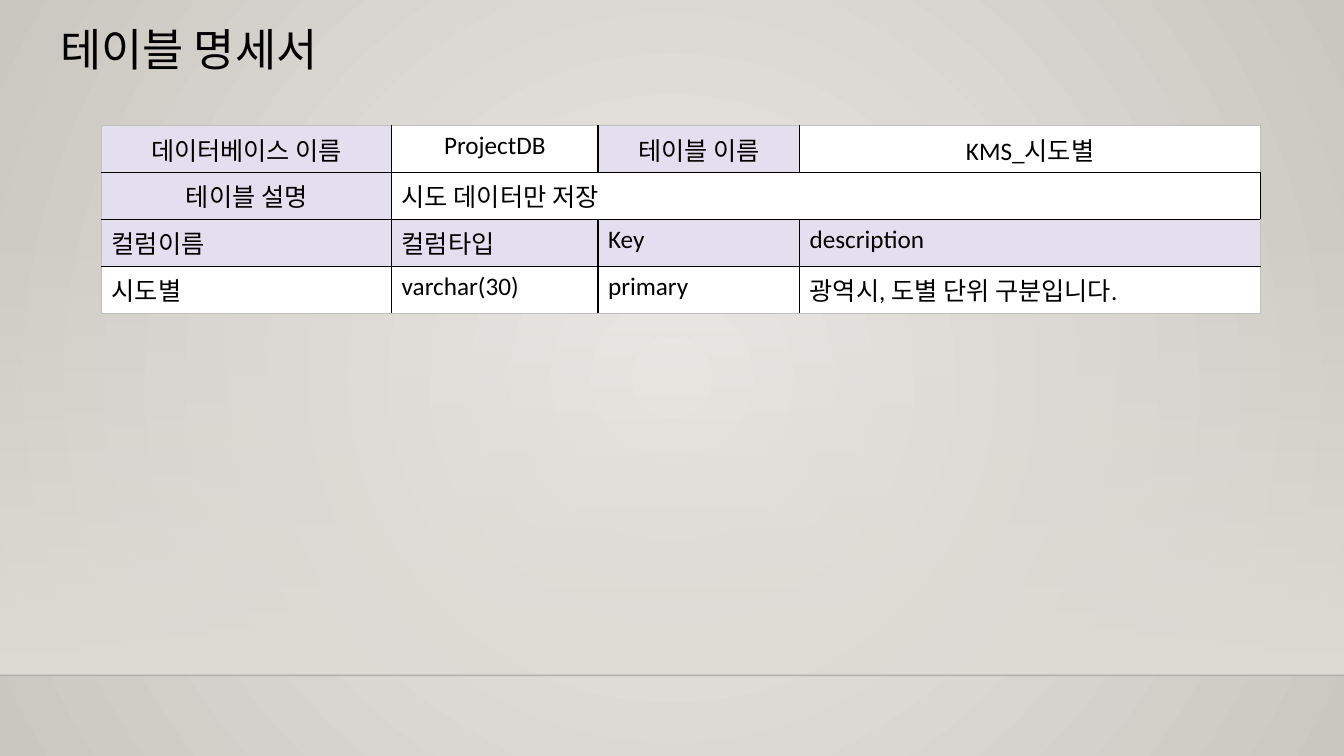
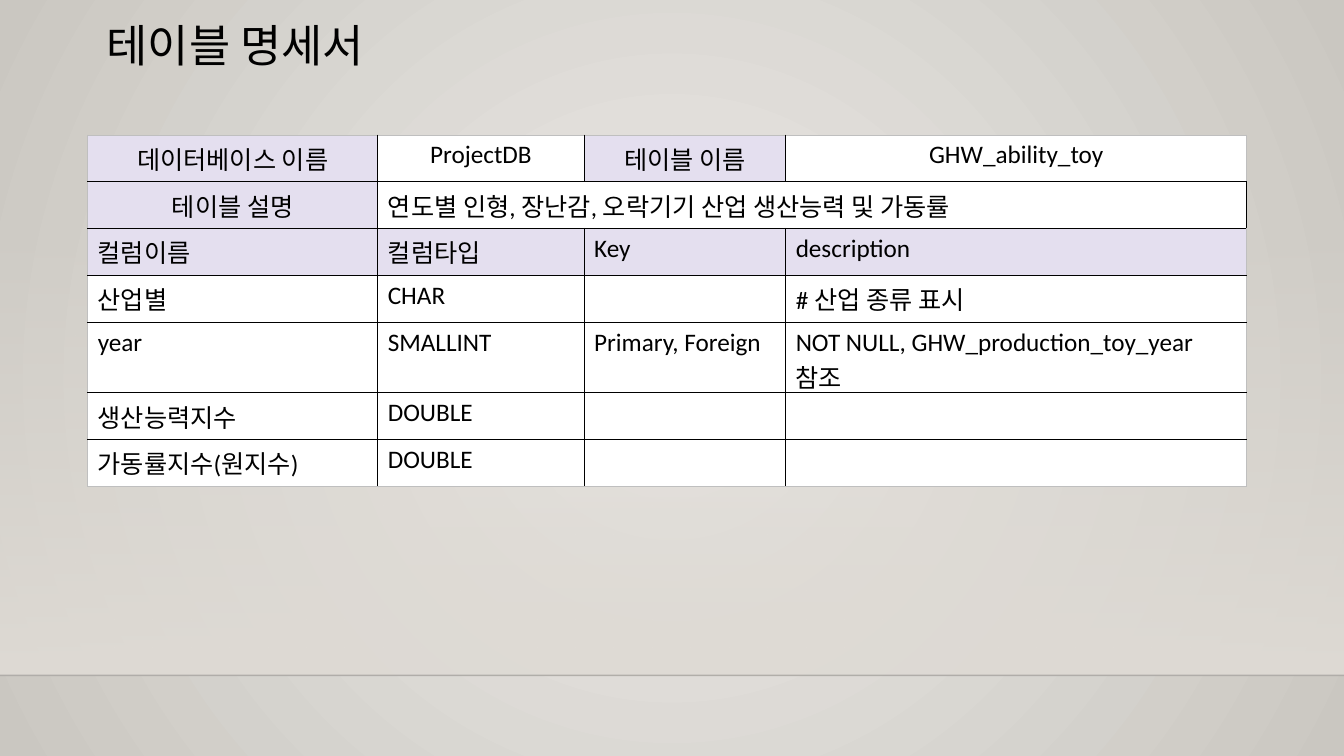
from lxml.etree import SubElement
from pptx import Presentation
from pptx.dml.color import RGBColor
from pptx.enum.shapes import MSO_CONNECTOR, MSO_SHAPE
from pptx.enum.text import PP_ALIGN
from pptx.oxml import parse_xml
from pptx.oxml.ns import nsdecls, qn
from pptx.util import Cm, Pt

COLORS = {
    "center": "ECEAE7",
    "edge": "CAC7C1",
    "floor": "DFDBD5",
    "horizon": "000001",
    "label": "E4DFEF",
    "value": "FFFFFF",
    "text": "000000",
    "rule": "000000",
    "frame": "BFBFBF",
}
WIDTH, HEIGHT = Cm(33.87), Cm(19.05)
FLOOR_TOP, HORIZON = Cm(5.61), Cm(17.02)
COLUMN_WIDTHS = [Cm(7.31), Cm(5.2), Cm(5.08), Cm(11.62)]
ROW_HEIGHT = Cm(1.18)
TITLE = "테이블 명세서"
TITLE_FONT = {"name": "Calibri", "size": Pt(32)}
CELL_FONT = {"name": "Calibri", "size": Pt(18), "bold": False}
COLUMN_HEADINGS = ["컬럼이름", "컬럼타입", "Key", "description"]

SPECIFICATIONS = [
    {
        "title_at": (Cm(1.27), Cm(0.58)),
        "table_at": (Cm(2.56), Cm(3.17)),
        "name": "KMS_시도별",
        "purpose": "시도 데이터만 저장",
        "columns": [
            ["시도별", "varchar(30)", "primary", "광역시, 도별 단위 구분입니다."],
        ],
    },
    {
        "title_at": (Cm(2.44), Cm(0.48)),
        "table_at": (Cm(2.21), Cm(3.4)),
        "name": "GHW_ability_toy",
        "purpose": "연도별 인형, 장난감, 오락기기 산업 생산능력 및 가동률",
        "columns": [
            ["산업별", "CHAR", "", "# 산업 종류 표시"],
            ["year", "SMALLINT", "Primary, Foreign",
             "NOT NULL, GHW_production_toy_year 참조"],
            ["생산능력지수", "DOUBLE", "", ""],
            ["가동률지수(원지수)", "DOUBLE", "", ""],
        ],
    },
]


def gradient(stops, direction):
    marks = "".join(
        f'<a:gs pos="{position * 1000}"><a:srgbClr val="{COLORS[color]}">'
        f'<a:alpha val="{opacity * 1000}"/></a:srgbClr></a:gs>'
        for position, color, opacity in stops
    )
    return parse_xml(
        f'<a:gradFill {nsdecls("a")} rotWithShape="1">'
        f"<a:gsLst>{marks}</a:gsLst>{direction}</a:gradFill>"
    )


def replace_gradient(holder, new_fill):
    old_fill = holder.find(qn("a:gradFill"))
    holder.replace(old_fill, new_fill)


def set_backdrop(master):
    master.background.fill.gradient()
    holder = next(master.element.iter(qn("p:bgPr")))
    direction = (
        '<a:path path="circle">'
        '<a:fillToRect l="50000" t="50000" r="50000" b="50000"/></a:path>'
    )
    replace_gradient(
        holder, gradient([(0, "center", 100), (100, "edge", 100)], direction)
    )


def add_floor(slide):
    floor = slide.shapes.add_shape(
        MSO_SHAPE.RECTANGLE, 0, FLOOR_TOP, WIDTH, HORIZON - FLOOR_TOP
    )
    floor.shadow.inherit = False
    floor.line.fill.background()
    floor.fill.gradient()
    replace_gradient(
        floor.element.spPr,
        gradient(
            [(0, "floor", 0), (100, "floor", 100)],
            '<a:lin ang="5400000" scaled="0"/>',
        ),
    )
    horizon = slide.shapes.add_connector(
        MSO_CONNECTOR.STRAIGHT, 0, HORIZON, WIDTH, HORIZON
    )
    horizon.line.width = Pt(1)
    horizon.line.color.rgb = RGBColor.from_string(COLORS["horizon"])
    properties = horizon.element.spPr
    color = next(properties.iter(qn("a:srgbClr")))
    SubElement(color, qn("a:alpha"), val="20000")
    SubElement(properties, qn("a:effectLst"))


def write(paragraph, text, font_values):
    run = paragraph.add_run()
    run.text = text
    for attribute, value in font_values.items():
        setattr(run.font, attribute, value)
    run.font.color.rgb = RGBColor.from_string(COLORS["text"])


def add_title(slide, position):
    title = slide.shapes.add_textbox(*position, Cm(26.67), Cm(1.83))
    title.text_frame.word_wrap = True
    paragraph = title.text_frame.paragraphs[0]
    paragraph.line_spacing = 0.9
    write(paragraph, TITLE, TITLE_FONT)


def set_borders(cell, outer_sides):
    properties = cell._tc.get_or_add_tcPr()
    for side in ("lnL", "lnR", "lnT", "lnB"):
        outer = side in outer_sides
        border = SubElement(
            properties, qn(f"a:{side}"), w=str(Pt(0.5) if outer else Pt(1))
        )
        fill = SubElement(border, qn("a:solidFill"))
        color = COLORS["frame" if outer else "rule"]
        SubElement(fill, qn("a:srgbClr"), val=color)


def add_specification(slide, content):
    rows = [
        ["데이터베이스 이름", "ProjectDB", "테이블 이름", content["name"]],
        ["테이블 설명", content["purpose"], "", ""],
        COLUMN_HEADINGS,
        *content["columns"],
    ]
    labels = {(0, 0), (0, 2), (1, 0)} | {(2, column) for column in range(4)}
    centered = {(0, column) for column in range(4)} | {(1, 0)}
    last_row, last_column = len(rows) - 1, len(COLUMN_WIDTHS) - 1
    table = slide.shapes.add_table(
        len(rows), len(COLUMN_WIDTHS), *content["table_at"],
        sum(COLUMN_WIDTHS), ROW_HEIGHT * len(rows),
    ).table
    for flag in ("first_row", "horz_banding"):
        setattr(table, flag, False)
    for column, width in zip(table.columns, COLUMN_WIDTHS):
        column.width = width
    for row, texts in enumerate(rows):
        table.rows[row].height = ROW_HEIGHT
        for column, text in enumerate(texts):
            cell = table.cell(row, column)
            edges = {
                "lnL": column == 0,
                "lnR": column == last_column,
                "lnT": row == 0,
                "lnB": row == last_row,
            }
            set_borders(cell, [side for side, outer in edges.items() if outer])
            role = "label" if (row, column) in labels else "value"
            cell.fill.solid()
            cell.fill.fore_color.rgb = RGBColor.from_string(COLORS[role])
            paragraph = cell.text_frame.paragraphs[0]
            if (row, column) in centered:
                paragraph.alignment = PP_ALIGN.CENTER
            if text:
                write(paragraph, text, CELL_FONT)
    table.cell(1, 1).merge(table.cell(1, last_column))


def main():
    presentation = Presentation()
    presentation.slide_width, presentation.slide_height = WIDTH, HEIGHT
    set_backdrop(presentation.slide_master)
    for content in SPECIFICATIONS:
        slide = presentation.slides.add_slide(presentation.slide_layouts[6])
        add_floor(slide)
        add_title(slide, content["title_at"])
        add_specification(slide, content)
    presentation.save("out.pptx")


if __name__ == "__main__":
    main()
